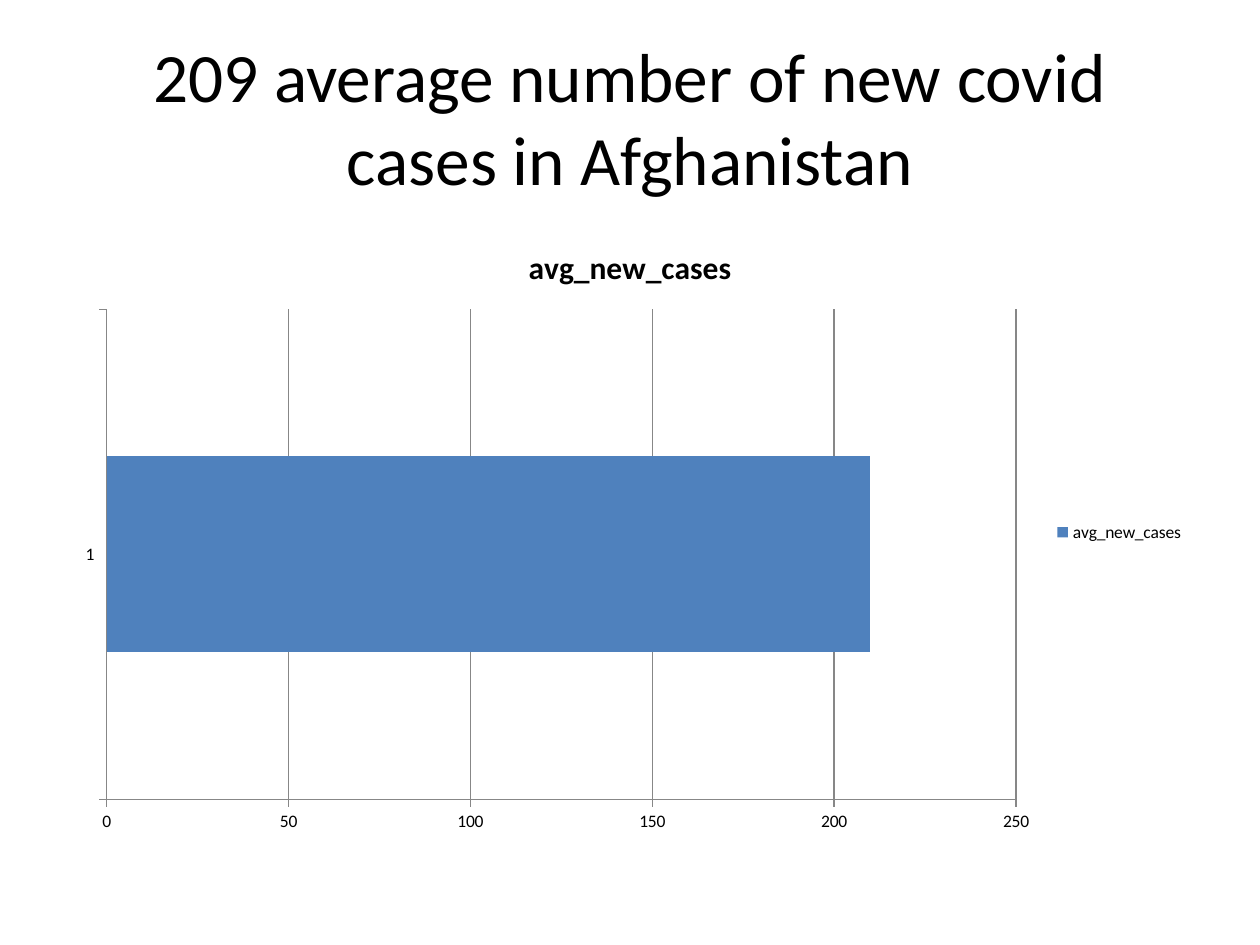
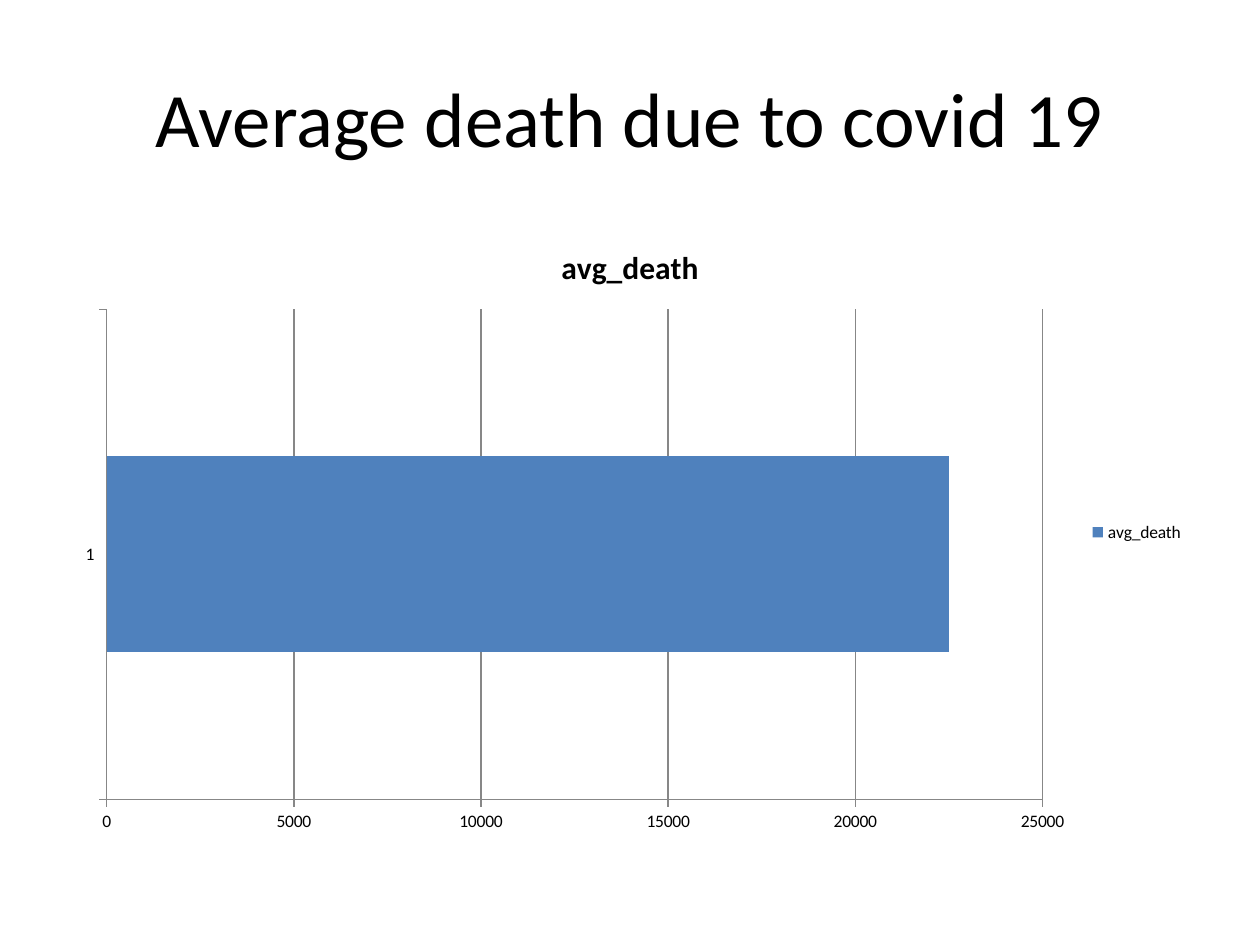
from dataclasses import dataclass

from pptx import Presentation
from pptx import util as u
from pptx.chart.data import CategoryChartData
from pptx.dml.color import RGBColor
from pptx.enum import chart as c
from pptx.enum import text as t

# Content
SLIDES = [
    dict(title="209 average number of new covid cases in Afghanistan", title_size=39.6,
         series="avg_new_cases", value=210, maximum=250, step=50),
    dict(title="Average death due to covid 19", title_size=44,
         series="avg_death", value=22500, maximum=25000, step=5000),
]
CATEGORIES = ["1"]


@dataclass(frozen=True)
class Theme:
    font: str = "Calibri"
    ink: RGBColor = RGBColor(0, 0, 0)
    bar: RGBColor = RGBColor(0x4F, 0x81, 0xBD)
    rule: RGBColor = RGBColor(0x87, 0x87, 0x87)
    label_size: float = 10
    heading_size: float = 18
    rule_width: float = 0.75


THEME = Theme()

# Layout in inches
WIDTH, HEIGHT, MARGIN = 10, 7.5, 0.5
TITLE_TOP, TITLE_HEIGHT = 0.3, 1.25
CHART_TOP, CHART_HEIGHT = 1.75, 4.95


def box(top, height):
    """Left, top, width and height of a full-width band."""
    return [u.Inches(n) for n in (MARGIN, top, WIDTH - 2 * MARGIN, height)]


def style_font(font, size, bold=False):
    font.name, font.size, font.bold = THEME.font, u.Pt(size), bold
    font.color.rgb = THEME.ink


def write(frame, words, size, bold=False, align=t.PP_ALIGN.CENTER):
    paragraph = frame.paragraphs[0]
    paragraph.alignment = align
    run = paragraph.add_run()
    run.text = words
    style_font(run.font, size, bold)


def style_line(line):
    line.color.rgb = THEME.rule
    line.width = u.Pt(THEME.rule_width)


def add_title(slide, words, size):
    title = slide.shapes.title
    title.left, title.top, title.width, title.height = box(TITLE_TOP, TITLE_HEIGHT)
    frame = title.text_frame
    frame.word_wrap = True
    frame.auto_size = t.MSO_AUTO_SIZE.NONE
    frame.vertical_anchor = t.MSO_ANCHOR.MIDDLE
    write(frame, words, size)


def add_bar_chart(slide, name, value, maximum, step):
    data = CategoryChartData()
    data.categories = CATEGORIES
    data.add_series(name, [value])
    chart = slide.shapes.add_chart(
        c.XL_CHART_TYPE.BAR_STACKED, *box(CHART_TOP, CHART_HEIGHT), data).chart
    style_font(chart.font, THEME.label_size)

    # Heading and legend
    chart.has_title = True
    write(chart.chart_title.text_frame, name, THEME.heading_size, bold=True)
    chart.chart_title.include_in_layout = False
    chart.has_legend = True
    chart.legend.position = c.XL_LEGEND_POSITION.RIGHT
    chart.legend.include_in_layout = False

    # Bar
    plot = chart.plots[0]
    plot.vary_by_categories = False
    plot.gap_width, plot.overlap = 150, 100
    fill = plot.series[0].format.fill
    fill.solid()
    fill.fore_color.rgb = THEME.bar

    # Axes and grid
    for axis in (chart.category_axis, chart.value_axis):
        axis.major_tick_mark = c.XL_TICK_MARK.OUTSIDE
        axis.minor_tick_mark = c.XL_TICK_MARK.NONE
        style_line(axis.format.line)
    chart.category_axis.has_major_gridlines = False
    values = chart.value_axis
    values.minimum_scale, values.maximum_scale, values.major_unit = 0, maximum, step
    values.has_major_gridlines = True
    style_line(values.major_gridlines.format.line)


def main():
    presentation = Presentation()
    presentation.slide_width = u.Inches(WIDTH)
    presentation.slide_height = u.Inches(HEIGHT)
    title_only = presentation.slide_layouts.get_by_name("Title Only")
    for item in SLIDES:
        slide = presentation.slides.add_slide(title_only)
        add_title(slide, item["title"], item["title_size"])
        add_bar_chart(slide, item["series"], item["value"], item["maximum"], item["step"])
    presentation.save("out.pptx")


if __name__ == "__main__":
    main()
